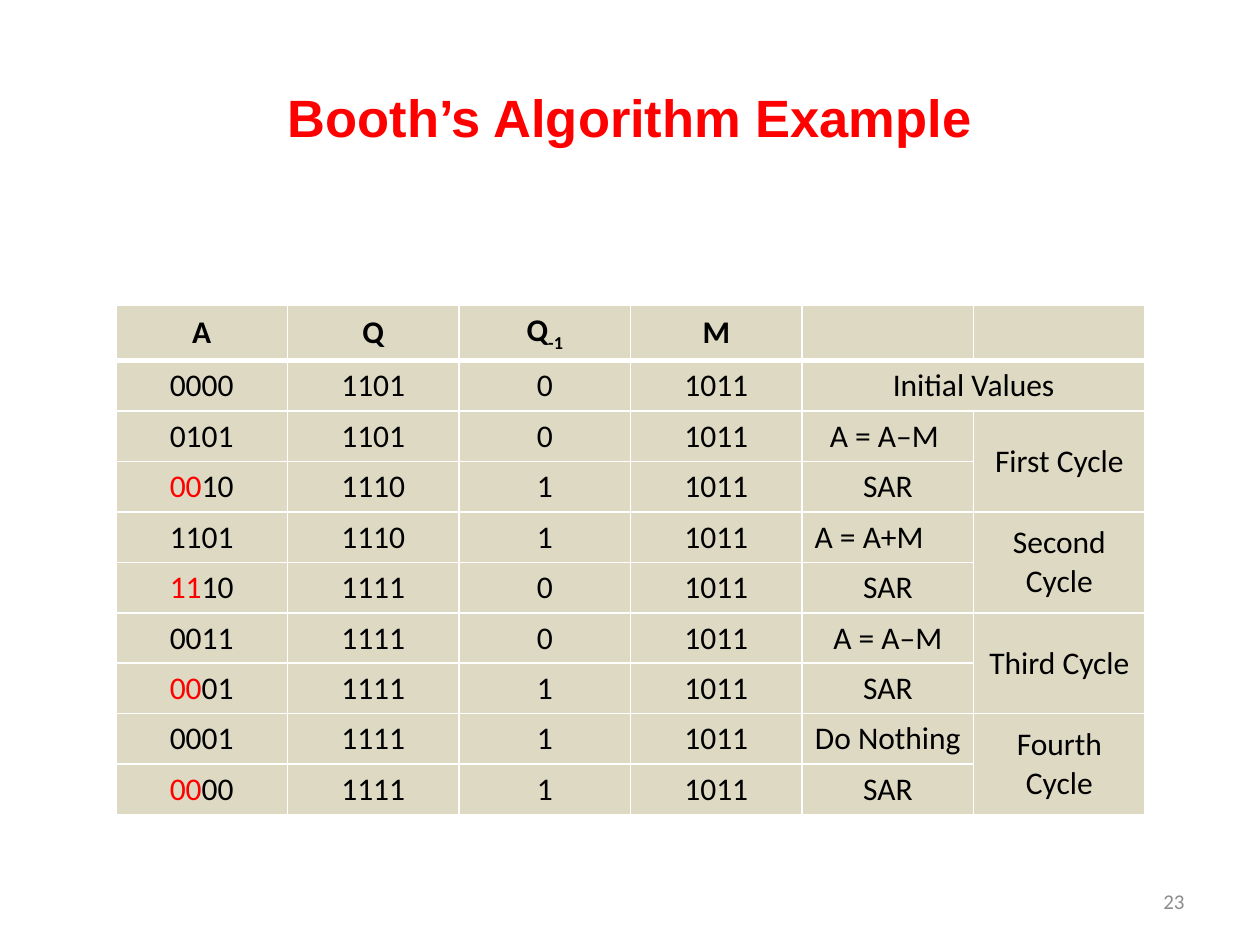
import dataclasses

import lxml.etree
import pptx
import pptx.dml.color
import pptx.enum.text
import pptx.oxml.ns
import pptx.util

Inches = pptx.util.Inches
Pt = pptx.util.Pt
Align = pptx.enum.text.PP_ALIGN
Anchor = pptx.enum.text.MSO_ANCHOR


@dataclasses.dataclass(frozen=True)
class Theme:
    black: str = "000000"
    red: str = "FF0000"
    gray: str = "8C8C8C"
    sand: str = "DDD9C3"
    white: str = "FFFFFF"
    head: str = "Arial"
    body: str = "Calibri"
    title: int = 30
    cell: int = 18
    foot: int = 12
    thin: int = 1
    thick: int = 3


THEME = Theme()
HEADS = ["A", "Q", "Q", "M", "", ""]
STEPS = [
    ("0000", "1101", "0", "Initial Values"),
    ("0101", "1101", "0", "A = A–M "),
    ("0010", "1110", "1", "SAR"),
    ("1101", "1110", "1", "A = A+M"),
    ("1110", "1111", "0", "SAR"),
    ("0011", "1111", "0", "A = A–M"),
    ("0001", "1111", "1", "SAR"),
    ("0001", "1111", "1", "Do Nothing"),
    ("0000", "1111", "1", "SAR"),
]
CYCLES = ["First Cycle", "Second Cycle", "Third Cycle", "Fourth Cycle"]


def add_run(para, text, size, color=THEME.black, face=THEME.body, bold=False):
    run = para.add_run()
    run.text = text
    font = run.font
    font.size = Pt(size)
    font.name = face
    font.bold = bold
    font.color.rgb = pptx.dml.color.RGBColor.from_string(color)
    return run


def add_label(slide, box, align, text, size, color, **style):
    shape = slide.shapes.add_textbox(*(Inches(n) for n in box))
    frame = shape.text_frame
    frame.word_wrap = True
    frame.vertical_anchor = Anchor.MIDDLE
    para = frame.paragraphs[0]
    para.alignment = align
    add_run(para, text, size, color, **style)


def add_edge(cell, side, width):
    qn = pptx.oxml.ns.qn
    props = cell._tc.get_or_add_tcPr()
    line = lxml.etree.SubElement(props, qn(f"a:ln{side}"), w=str(Pt(width)))
    fill = lxml.etree.SubElement(line, qn("a:solidFill"))
    lxml.etree.SubElement(fill, qn("a:srgbClr"), val=THEME.white)


def style_cell(cell, row):
    for side in "LRTB":
        heavy = (row, side) in ((0, "B"), (1, "T"))
        add_edge(cell, side, THEME.thick if heavy else THEME.thin)
    cell.fill.solid()
    cell.fill.fore_color.rgb = pptx.dml.color.RGBColor.from_string(THEME.sand)
    cell.vertical_anchor = Anchor.MIDDLE
    cell.text_frame.paragraphs[0].alignment = Align.CENTER


def fill_cell(cell, *parts, bold=False):
    para = cell.text_frame.paragraphs[0]
    for text, color in parts:
        run = add_run(para, text, THEME.cell, color, bold=bold)
    return run


def add_steps(slide):
    rows, cols = len(STEPS) + 1, len(HEADS)
    frame = slide.shapes.add_table(
        rows, cols, Inches(0.92), Inches(2.42), Inches(8.17), Inches(0.4 * rows)
    )
    table = frame.table
    for row in range(rows):
        for col in range(cols):
            style_cell(table.cell(row, col), row)

    for col, text in enumerate(HEADS):
        if text:
            fill_cell(table.cell(0, col), (text, THEME.black), bold=True)
    sub = fill_cell(table.cell(0, 2), ("-1", THEME.black), bold=True)
    sub.font._element.set("baseline", "-25000")

    for row, (acc, quot, bit, note) in enumerate(STEPS, 1):
        shift = THEME.red if note == "SAR" else THEME.black
        parts = [(acc[:2], shift), (acc[2:], THEME.black)]
        if note != "SAR":
            parts = [(acc, THEME.black)]
        fill_cell(table.cell(row, 0), *parts)
        for col, text in enumerate((quot, bit, "1011", note), 1):
            fill_cell(table.cell(row, col), (text, THEME.black))
    table.cell(4, 4).text_frame.paragraphs[0].alignment = Align.LEFT

    table.cell(1, 4).merge(table.cell(1, 5))
    for row, text in zip(range(2, rows, 2), CYCLES):
        fill_cell(table.cell(row, 5), (text, THEME.black))
        table.cell(row, 5).merge(table.cell(row + 1, 5))


def main():
    deck = pptx.Presentation()
    deck.slide_width = Inches(10)
    deck.slide_height = Inches(7.5)
    slide = deck.slides.add_slide(deck.slide_layouts[6])
    add_label(
        slide, (0.5, 0.3, 9, 1.25), Align.CENTER, "Booth’s Algorithm Example",
        THEME.title, THEME.red, face=THEME.head, bold=True,
    )
    add_label(
        slide, (7.17, 6.95, 2.33, 0.4), Align.RIGHT, "23", THEME.foot, THEME.gray
    )
    add_steps(slide)
    deck.save("out.pptx")


if __name__ == "__main__":
    main()
